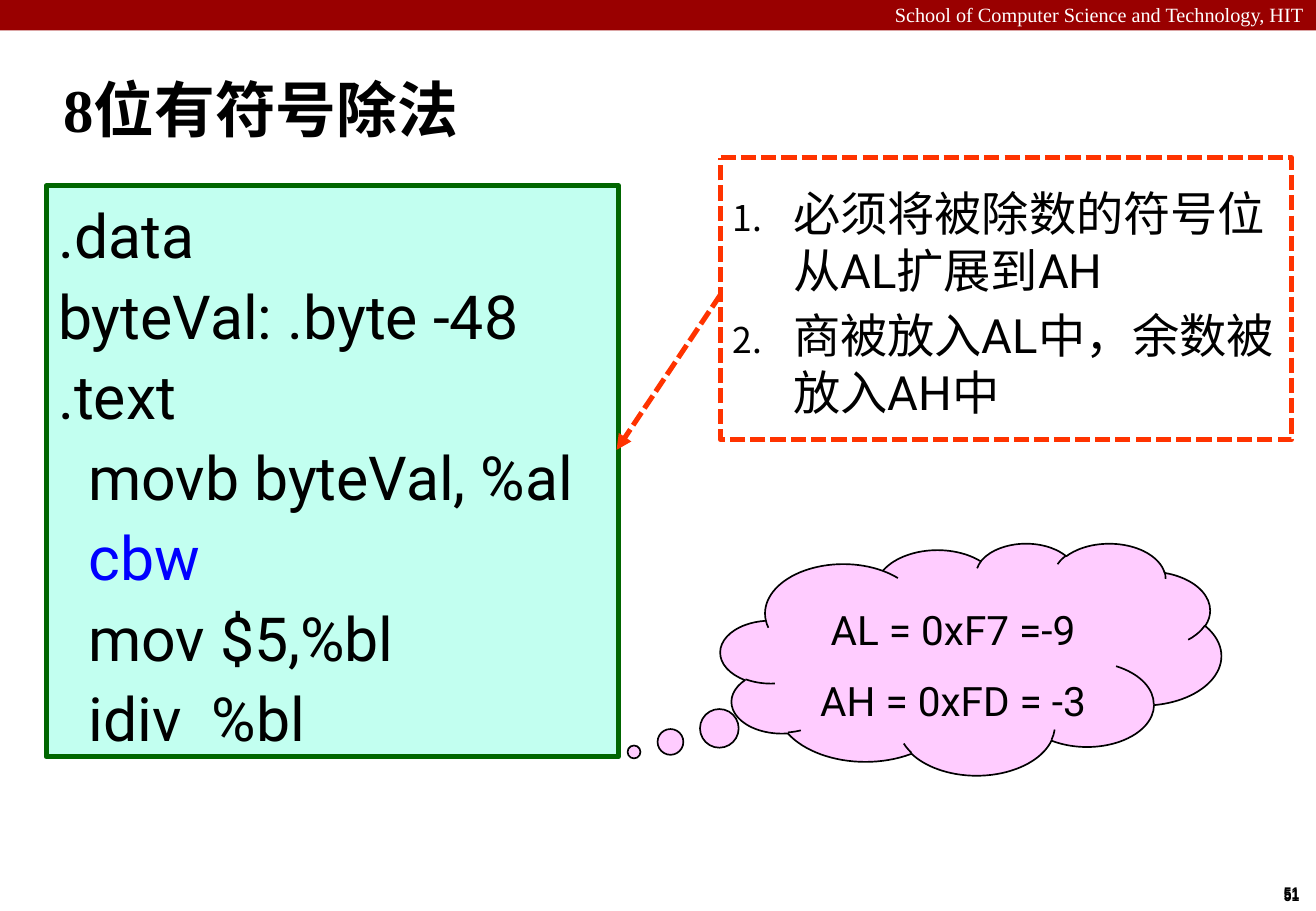
from lxml import etree
from pptx import Presentation
from pptx.dml.color import RGBColor
from pptx.enum.dml import MSO_LINE
from pptx.enum.shapes import MSO_SHAPE as SHAPE
from pptx.enum.text import MSO_ANCHOR as ANCHOR, MSO_AUTO_SIZE as AUTO, PP_ALIGN as ALIGN
from pptx.oxml.ns import qn
from pptx.util import Pt

PX = 9144  # 100 px to the inch
BLACK = RGBColor(0x00, 0x00, 0x00)
WHITE = RGBColor(0xFF, 0xFF, 0xFF)
DARK_RED = RGBColor(0x99, 0x00, 0x00)
MINT = RGBColor(0xC2, 0xFF, 0xF0)
GREEN = RGBColor(0x00, 0x66, 0x00)
BLUE = RGBColor(0x00, 0x00, 0xFF)
ORANGE = RGBColor(0xFF, 0x33, 0x00)
PINK = RGBColor(0xFF, 0xCC, 0xFF)


def add_shape(kind, box, fill=None, line=None, width=1):
    sp = s.shapes.add_shape(kind, *[v * PX for v in box])
    sp.shadow.inherit = False
    if fill is None:
        sp.fill.background()
    else:
        sp.fill.solid()
        sp.fill.fore_color.rgb = fill
    if line is None:
        sp.line.fill.background()
    else:
        sp.line.color.rgb = line
        sp.line.width = Pt(width)
    return sp


def write(tf, lines, font, size, color=BLACK, align=ALIGN.LEFT, gap=0, bold=False):
    """Fill a text frame, one paragraph per line, and return the paragraphs."""
    for i, line in enumerate(lines):
        p = tf.add_paragraph() if i else tf.paragraphs[0]
        p.alignment = align
        p.space_before = Pt(gap if i else 0)
        r = p.add_run()
        r.text = line
        r.font.name, r.font.size, r.font.bold = font, Pt(size), bold
        r.font.color.rgb = color
    return tf.paragraphs


prs = Presentation()
prs.slide_width, prs.slide_height = 1083 * PX, 750 * PX
s = prs.slides.add_slide(prs.slide_layouts[5])

# Header bar and page number
add_shape(SHAPE.RECTANGLE, (0, 0, 1083, 25), DARK_RED)
header = s.shapes.add_textbox(0, -3 * PX, 1083 * PX, 30 * PX)
header.text_frame.word_wrap = True
write(header.text_frame, ["School of Computer Science and Technology, HIT"],
      "Times New Roman", 12, WHITE, ALIGN.RIGHT)
for top in (723, 722):
    number = s.shapes.add_textbox(1046 * PX, top * PX, 34 * PX, 27 * PX)
    number.text_frame.word_wrap = False
    write(number.text_frame, ["51"], "Arial Narrow", 10, align=ALIGN.CENTER, bold=True)

# Title
title = s.shapes.title
title.left, title.top, title.width, title.height = [v * PX for v in (42, 48, 1041, 83)]
tf = title.text_frame
tf.auto_size = AUTO.NONE
tf.vertical_anchor = ANCHOR.MIDDLE
write(tf, ["8位有符号除法"], "Times New Roman", 36, bold=True)

# Code listing
code = add_shape(SHAPE.RECTANGLE, (38, 153, 471, 470), MINT, GREEN, 3)
tf = code.text_frame
tf.vertical_anchor = ANCHOR.TOP
tf.margin_top = 10 * PX
lines = write(tf, [".data", "byteVal: .byte -48", ".text", "  movb byteVal, %al",
                   "  cbw", "  mov $5,%bl", "  idiv  %bl"], "Roboto", 36, gap=4.5)
lines[4].runs[0].font.color.rgb = BLUE

# Numbered callout pointing at the code
callout = add_shape(SHAPE.LINE_CALLOUT_1, (593, 130, 470, 232), line=ORANGE, width=3)
for i, value in enumerate((0.485, 0, 1.036, -0.182)):
    callout.adjustments[i] = value
callout.line.dash_style = MSO_LINE.SQUARE_DOT
etree.SubElement(callout.line._get_or_add_ln(), qn("a:tailEnd"), type="triangle")
tf = callout.text_frame
tf.vertical_anchor = ANCHOR.MIDDLE
tf.margin_top = 10 * PX
for p in write(tf, ["必须将被除数的符号位从AL扩展到AH", "商被放入AL中，余数被放入AH中"],
               "Roboto", 28, gap=5):
    pPr = p._p.get_or_add_pPr()
    pPr.set("marL", str(50 * PX))
    pPr.set("indent", str(-50 * PX))
    color = etree.SubElement(pPr, qn("a:buClr"))
    etree.SubElement(color, qn("a:srgbClr"), val=str(BLACK))
    etree.SubElement(pPr, qn("a:buSzPct"), val="75000")
    etree.SubElement(pPr, qn("a:buAutoNum"), type="arabicPeriod")

# Result cloud
cloud = add_shape(SHAPE.CLOUD_CALLOUT, (593, 447, 412, 191), PINK, BLACK)
cloud.adjustments[0], cloud.adjustments[1] = -0.673, 0.401
tf = cloud.text_frame
tf.vertical_anchor = ANCHOR.TOP
tf.margin_top = 22 * PX
write(tf, ["AL = 0xF7 =-9", "AH = 0xFD = -3"], "Roboto", 24, align=ALIGN.CENTER, gap=13.5)

prs.save("out.pptx")
